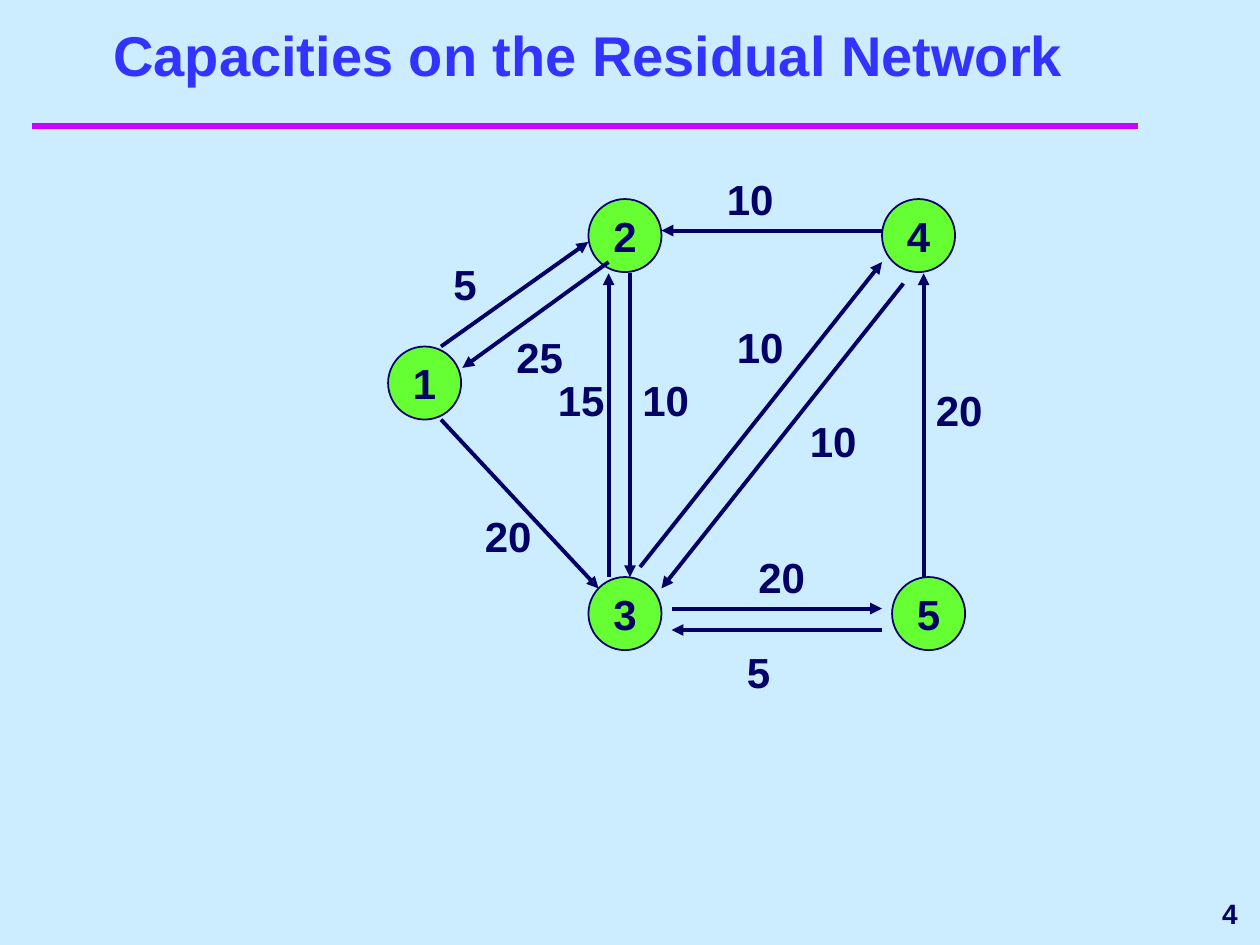
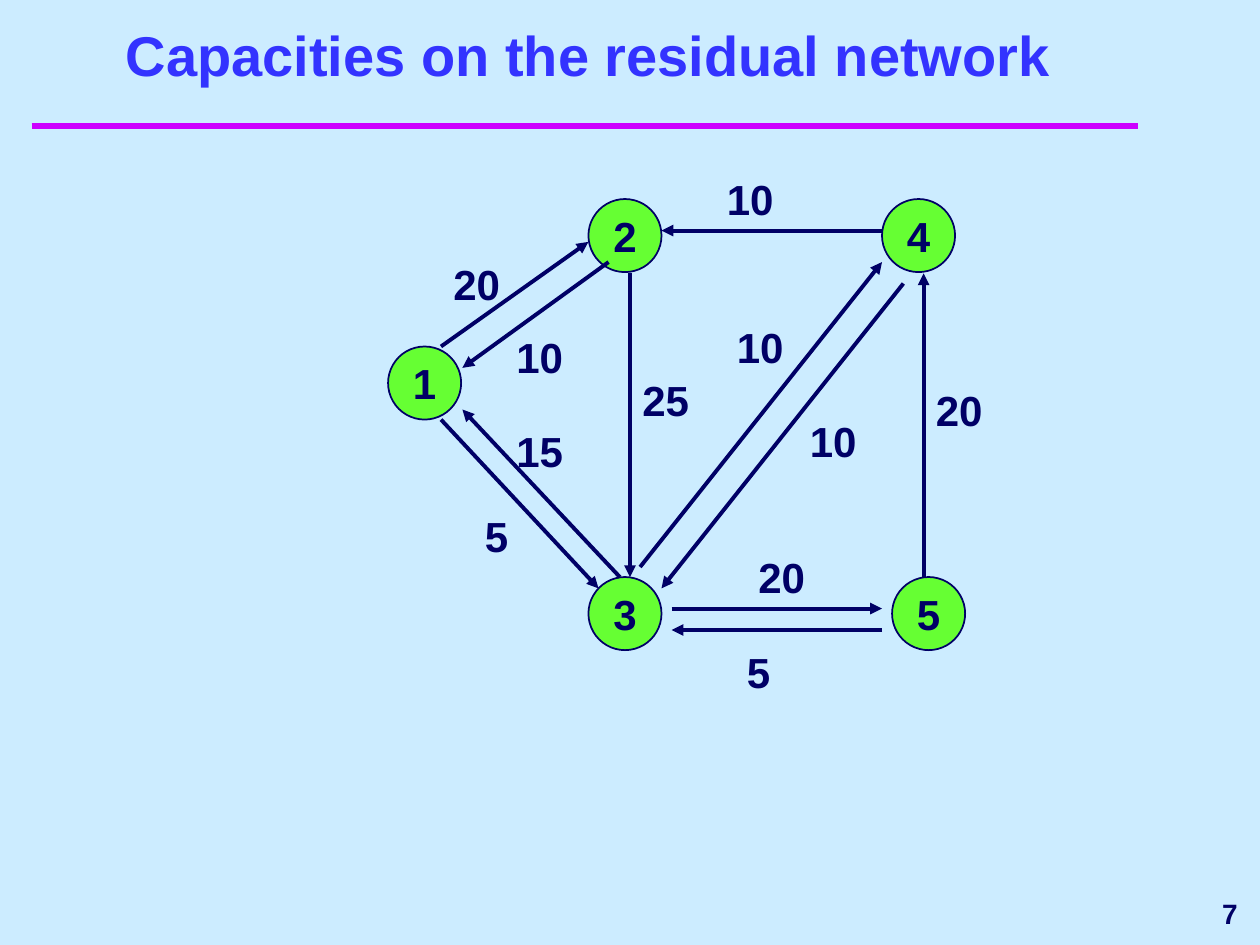
from lxml import etree
from pptx import Presentation
from pptx.dml.color import RGBColor
from pptx.enum.shapes import MSO_CONNECTOR as Connector, MSO_SHAPE as Preset
from pptx.enum.text import MSO_ANCHOR as Anchor, MSO_AUTO_SIZE as AutoSize, PP_ALIGN as Align
from pptx.oxml.ns import qn
from pptx.util import Inches, Pt

NODE_SIZE = 0.58
NODES = {
    "1": (3.08, 2.75),
    "2": (4.67, 1.58),
    "4": (7, 1.58),
    "3": (4.67, 4.58),
    "5": (7.08, 4.58),
}

# Each arc: start, end, label position, label width
ARCS = {
    "3-5": ((5.33, 4.83), (7, 4.83), (5.92, 4.33), 0.67),
    "5-3": ((7, 5), (5.33, 5), (5.83, 5.08), 1.17),
    "4-2": ((7, 1.83), (5.25, 1.83), (5.67, 1.33), 1.17),
    "1-2": ((3.5, 2.75), (4.67, 1.92), (3.5, 2), 1.17),
    "2-1": ((4.83, 2.08), (3.67, 2.92), (4, 2.58), 1.17),
    "1-3": ((3.5, 3.33), (4.75, 4.67), (3.75, 4), 0.67),
    "3-1": ((4.92, 4.58), (3.67, 3.25), (4, 3.33), 1.17),
    "5-4": ((7.33, 4.58), (7.33, 2.17), (7.33, 3), 1.17),
    "2-3": ((5, 2.17), (5, 4.58), (5, 2.92), 1.17),
    "3-2": ((4.83, 4.58), (4.83, 2.17), (4.33, 2.92), 1.17),
    "3-4": ((5.08, 4.5), (7, 2.08), (5.75, 2.5), 1.17),
    "4-3": ((7.17, 2.25), (5.25, 4.67), (6.33, 3.25), 1.17),
}

SHARED_CAPACITIES = {"3-5": 20, "5-3": 5, "4-2": 10, "5-4": 20, "3-4": 10, "4-3": 10}

NETWORKS = [
    ("Capacities on the Residual Network", 4,
     {"1-2": 5, "2-1": 25, "1-3": 20, "2-3": 10, "3-2": 15}),
    ("Capacities on the residual network", 7,
     {"1-2": 20, "2-1": 10, "1-3": 5, "3-1": 15, "2-3": 25}),
]


def color(hex_string):
    return RGBColor.from_string(hex_string)


class NetworkDeck:
    FONT = "Arial"
    BACKGROUND = "CCECFF"
    INK = "000066"
    TITLE = "3333FF"
    RULE = "CC00FF"
    NODE = "66FF33"

    def __init__(self):
        self.presentation = Presentation()
        self.presentation.slide_width = Inches(10)
        self.presentation.slide_height = Inches(7.5)
        fill = self.presentation.slide_master.background.fill
        fill.solid()
        fill.fore_color.rgb = color(self.BACKGROUND)
        self.slide = None

    def add_text(self, shape, text, size, ink, align, anchor, wrap=True):
        frame = shape.text_frame
        frame.word_wrap = wrap
        frame.vertical_anchor = anchor
        paragraph = frame.paragraphs[0]
        paragraph.alignment = align
        run = paragraph.add_run()
        run.text = text
        run.font.name = self.FONT
        run.font.size = Pt(size)
        run.font.bold = True
        run.font.color.rgb = color(ink)
        return paragraph

    def add_slide(self, title, number):
        layout = self.presentation.slide_layouts[5]
        self.slide = self.presentation.slides.add_slide(layout)
        self.line((0.25, 1), (9.03, 1), self.RULE, 4)
        self.page_number(number)
        self.title(title)

    def title(self, text):
        shape = self.slide.shapes.title
        shape.left, shape.top = Inches(0.42), Inches(0.33)
        shape.width, shape.height = Inches(8.5), Inches(0.42)
        shape.text_frame.auto_size = AutoSize.NONE
        self.add_text(shape, text, 32, self.TITLE, Align.CENTER, Anchor.BOTTOM)

    def page_number(self, number):
        box = self.slide.shapes.add_textbox(Inches(8), Inches(7), Inches(1.92), Inches(0.5))
        self.add_text(box, str(number), 16, self.INK, Align.RIGHT, Anchor.MIDDLE, wrap=False)

    def line(self, start, end, ink, width):
        connector = self.slide.shapes.add_connector(
            Connector.STRAIGHT, *(Inches(value) for value in start + end))
        connector.line.color.rgb = color(ink)
        connector.line.width = Pt(width)
        etree.SubElement(connector._element.spPr, qn("a:effectLst"))
        return connector

    def arrow(self, start, end):
        connector = self.line(start, end, self.INK, 2.25)
        outline = connector.line._get_or_add_ln()
        etree.SubElement(outline, qn("a:tailEnd"), type="triangle")

    def node(self, name, left, top):
        circle = self.slide.shapes.add_shape(
            Preset.OVAL, Inches(left), Inches(top), Inches(NODE_SIZE), Inches(NODE_SIZE))
        circle.shadow.inherit = False
        circle.fill.solid()
        circle.fill.fore_color.rgb = color(self.NODE)
        circle.line.color.rgb = color(self.INK)
        circle.line.width = Pt(1)
        self.add_text(circle, name, 24, self.INK, Align.CENTER, Anchor.MIDDLE, wrap=False)

    def capacity(self, value, left, top, width):
        box = self.slide.shapes.add_textbox(Inches(left), Inches(top), Inches(width), Inches(0.5))
        box.text_frame.auto_size = AutoSize.SHAPE_TO_FIT_TEXT
        paragraph = self.add_text(box, str(value), 24, self.INK, Align.LEFT, Anchor.TOP)
        paragraph.space_before = Pt(15)

    def network(self, capacities):
        for name, position in NODES.items():
            self.node(name, *position)
        for arc, (start, end, label, width) in ARCS.items():
            if arc in capacities:
                self.arrow(start, end)
                self.capacity(capacities[arc], *label, width)


def main():
    deck = NetworkDeck()
    for title, number, capacities in NETWORKS:
        deck.add_slide(title, number)
        deck.network({**SHARED_CAPACITIES, **capacities})
    deck.presentation.save("out.pptx")


if __name__ == "__main__":
    main()
